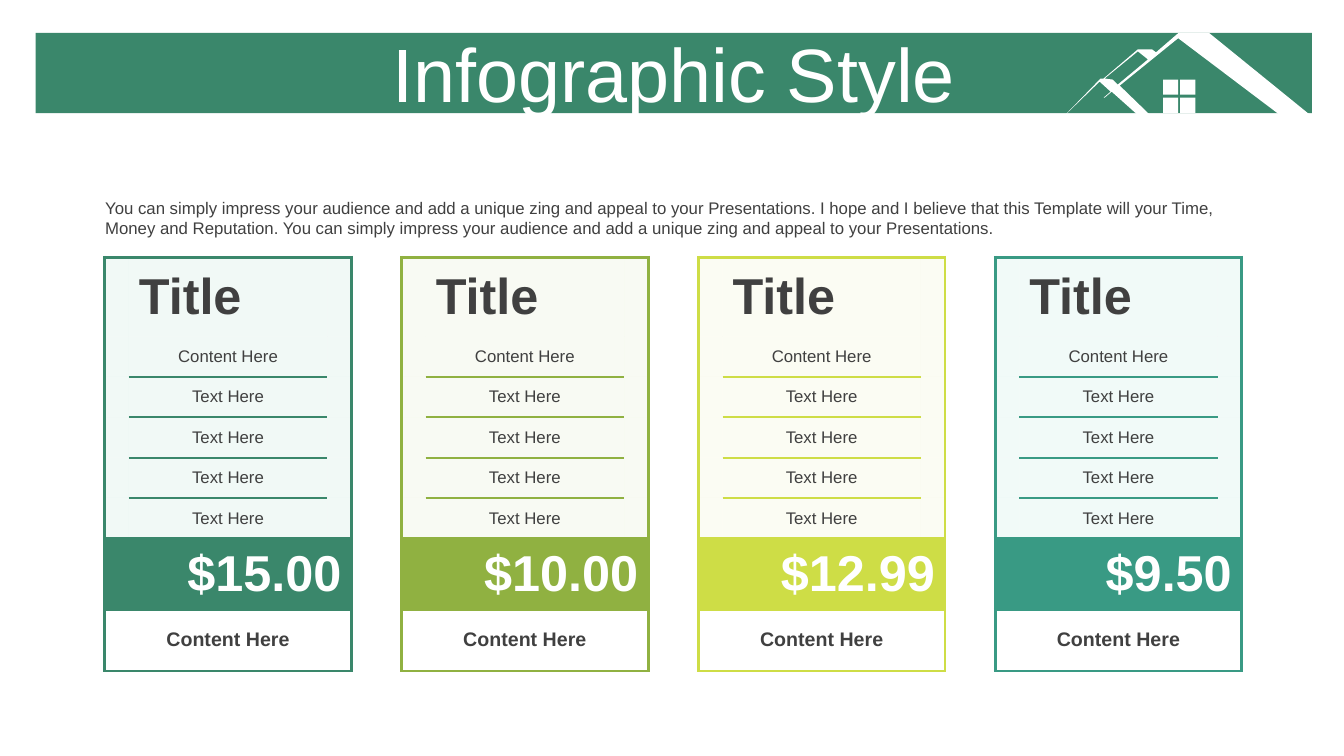
from lxml.etree import SubElement
from pptx import Presentation
from pptx.dml.color import RGBColor
from pptx.enum.shapes import MSO_SHAPE
from pptx.enum.text import MSO_ANCHOR, MSO_AUTO_SIZE, PP_ALIGN
from pptx.oxml.ns import qn
from pptx.util import Cm, Pt

FONT = "Arial"
GREEN = RGBColor(0x3A, 0x87, 0x6B)
OLIVE = RGBColor(0x90, 0xB1, 0x41)
LIME = RGBColor(0xCE, 0xDD, 0x46)
TEAL = RGBColor(0x39, 0x9A, 0x84)
PALE_GREEN = RGBColor(0xD3, 0xEC, 0xE3)
PALE_OLIVE = RGBColor(0xE9, 0xF1, 0xD8)
PALE_LIME = RGBColor(0xF5, 0xF8, 0xDA)
PALE_TEAL = RGBColor(0xD3, 0xEF, 0xE9)
WHITE = RGBColor(0xFF, 0xFF, 0xFF)
DARK = RGBColor(0x40, 0x40, 0x40)

PLAIN_STYLE = "{2D5ABB26-0587-4C30-8999-92F81FD0307C}"
FRAME, RULE, FOOTER_RULE = 2.25, 1.5, 3
TINT_ALPHA = 30
HOUSE_UNIT = Cm(2.54) / 100

COLUMN_WIDTHS = [0.58, 5, 0.58]
ROW_HEIGHTS = [2, 1, 1, 1, 1, 1, 1.79, 1.55]
FEATURES = ["Content Here"] + ["Text Here"] * 4
PLANS = [
    ("$15.00", GREEN, PALE_GREEN),
    ("$10.00", OLIVE, PALE_OLIVE),
    ("$12.99", LIME, PALE_LIME),
    ("$9.50", TEAL, PALE_TEAL),
]

EAVE = [(1129, 51), (1096, 78), (1104, 79), (1109, 84), (1139, 59)]
ROOF = [
    (1169, 33), (1200, 33), (1301, 115), (1271, 115), (1169, 38), (1111, 85),
    (1143, 116), (1131, 116), (1103, 91), (1096, 97), (1095, 97), (1102, 91),
    (1091, 81), (1055, 116), (1056, 115), (1092, 78), (1095, 78), (1129, 49),
    (1143, 49), (1147, 52),
]


def add_run(paragraph, text, size, color, bold=False):
    run = paragraph.add_run()
    run.text = text
    run.font.name = FONT
    run.font.size = Pt(size)
    run.font.color.rgb = color
    run.font.bold = bold


def paint(shape, color):
    shape.shadow.inherit = False
    shape.fill.solid()
    shape.fill.fore_color.rgb = color
    shape.line.fill.background()


def add_banner(slide):
    banner = slide.shapes.add_shape(
        MSO_SHAPE.RECTANGLE, Cm(0.9), Cm(0.83), Cm(32.16), Cm(2.02))
    paint(banner, GREEN)


def window_pane(left, top, side=15):
    return [(left, top), (left + side, top),
            (left + side, top + side), (left, top + side)]


def add_house(slide):
    panes = [window_pane(x, y) for y in (97, 79) for x in (1171, 1154)]
    builder = slide.shapes.build_freeform(*panes[0][0], scale=HOUSE_UNIT)
    for outline in panes + [EAVE, ROOF]:
        builder.move_to(*outline[0])
        builder.add_line_segments(outline[1:], close=True)
    paint(builder.convert_to_shape(), WHITE)


def add_text(slide, left, top, width, height, text, size, color):
    box = slide.shapes.add_textbox(Cm(left), Cm(top), Cm(width), Cm(height))
    box.text_frame.word_wrap = True
    paragraph = box.text_frame.paragraphs[0]
    add_run(paragraph, text, size, color)
    return box.text_frame, paragraph


def add_heading(slide):
    frame, paragraph = add_text(
        slide, 0.9, 0.95, 32.16, 2.02, "Infographic Style", 54, WHITE)
    frame.vertical_anchor = MSO_ANCHOR.MIDDLE
    paragraph.alignment = PP_ALIGN.CENTER
    paragraph.line_spacing = 0.9
    paragraph.space_before = Pt(10)


def add_introduction(slide):
    pitch = ("You can simply impress your audience and add a unique zing "
             "and appeal to your Presentations.")
    hope = ("I hope and I believe that this Template will your Time, "
            "Money and Reputation.")
    frame, _ = add_text(slide, 2.4, 4.85, 29.08, 1.28,
                        f"{pitch} {hope} {pitch}", 12, DARK)
    frame.auto_size = MSO_AUTO_SIZE.SHAPE_TO_FIT_TEXT


def style_cell(cell, fill, border_color, borders, alpha=None):
    properties = cell._tc.get_or_add_tcPr()
    for side in "LRTB":
        if side in borders:
            line = SubElement(properties, qn(f"a:ln{side}"), w=str(Pt(borders[side])))
            solid = SubElement(line, qn("a:solidFill"))
            SubElement(solid, qn("a:srgbClr"), val=str(border_color))
    cell.fill.solid()
    cell.fill.fore_color.rgb = fill
    if alpha:
        color = properties.find(qn("a:solidFill")).find(qn("a:srgbClr"))
        SubElement(color, qn("a:alpha"), val=str(alpha * 1000))


def write_cell(cell, text, size, color, bold, alignment):
    cell.vertical_anchor = MSO_ANCHOR.MIDDLE
    paragraph = cell.text_frame.paragraphs[0]
    paragraph.alignment = alignment
    add_run(paragraph, text, size, color, bold)


def add_tinted_rows(table, accent, tint):
    last = len(FEATURES)
    for row in range(last + 1):
        outer = {"T": FRAME} if row == 0 else {"B": FRAME} if row == last else {}
        rules = {}
        if row > 1:
            rules["T"] = RULE
        if 0 < row < last:
            rules["B"] = RULE
        sides = [{"L": FRAME}, rules, {"R": FRAME}]
        for column, side in enumerate(sides):
            style_cell(table.cell(row, column), tint, accent,
                       {**side, **outer}, TINT_ALPHA)
    write_cell(table.cell(0, 1), "Title", 36, DARK, True, PP_ALIGN.LEFT)
    for row, feature in enumerate(FEATURES, start=1):
        write_cell(table.cell(row, 1), feature, 12, DARK, False, PP_ALIGN.CENTER)


def add_wide_row(table, row, fill, accent, top, bottom, *text_format):
    cell = table.cell(row, 0)
    cell.merge(table.cell(row, 2))
    style_cell(cell, fill, accent,
               {"L": FRAME, "R": FRAME, "T": top, "B": bottom})
    write_cell(cell, *text_format)


def add_plan(slide, left, price, accent, tint):
    table = slide.shapes.add_table(
        len(ROW_HEIGHTS), len(COLUMN_WIDTHS), Cm(left), Cm(6.48),
        Cm(sum(COLUMN_WIDTHS)), Cm(sum(ROW_HEIGHTS))).table
    table.first_row = False
    table.horz_banding = False
    table._tbl.tblPr.find(qn("a:tableStyleId")).text = PLAIN_STYLE
    for column, width in zip(table.columns, COLUMN_WIDTHS):
        column.width = Cm(width)
    for row, height in zip(table.rows, ROW_HEIGHTS):
        row.height = Cm(height)
    add_tinted_rows(table, accent, tint)
    add_wide_row(table, 6, accent, accent, FRAME, FOOTER_RULE,
                 price, 36, WHITE, True, PP_ALIGN.RIGHT)
    add_wide_row(table, 7, WHITE, accent, FOOTER_RULE, FRAME,
                 "Content Here", 14, DARK, True, PP_ALIGN.CENTER)


def main():
    presentation = Presentation()
    presentation.slide_width = Cm(33.87)
    presentation.slide_height = Cm(19.05)
    slide = presentation.slides.add_slide(presentation.slide_layouts[6])
    add_banner(slide)
    add_house(slide)
    add_heading(slide)
    for index, plan in enumerate(PLANS):
        add_plan(slide, 2.64 + 7.48 * index, *plan)
    add_introduction(slide)
    presentation.save("out.pptx")


if __name__ == "__main__":
    main()
